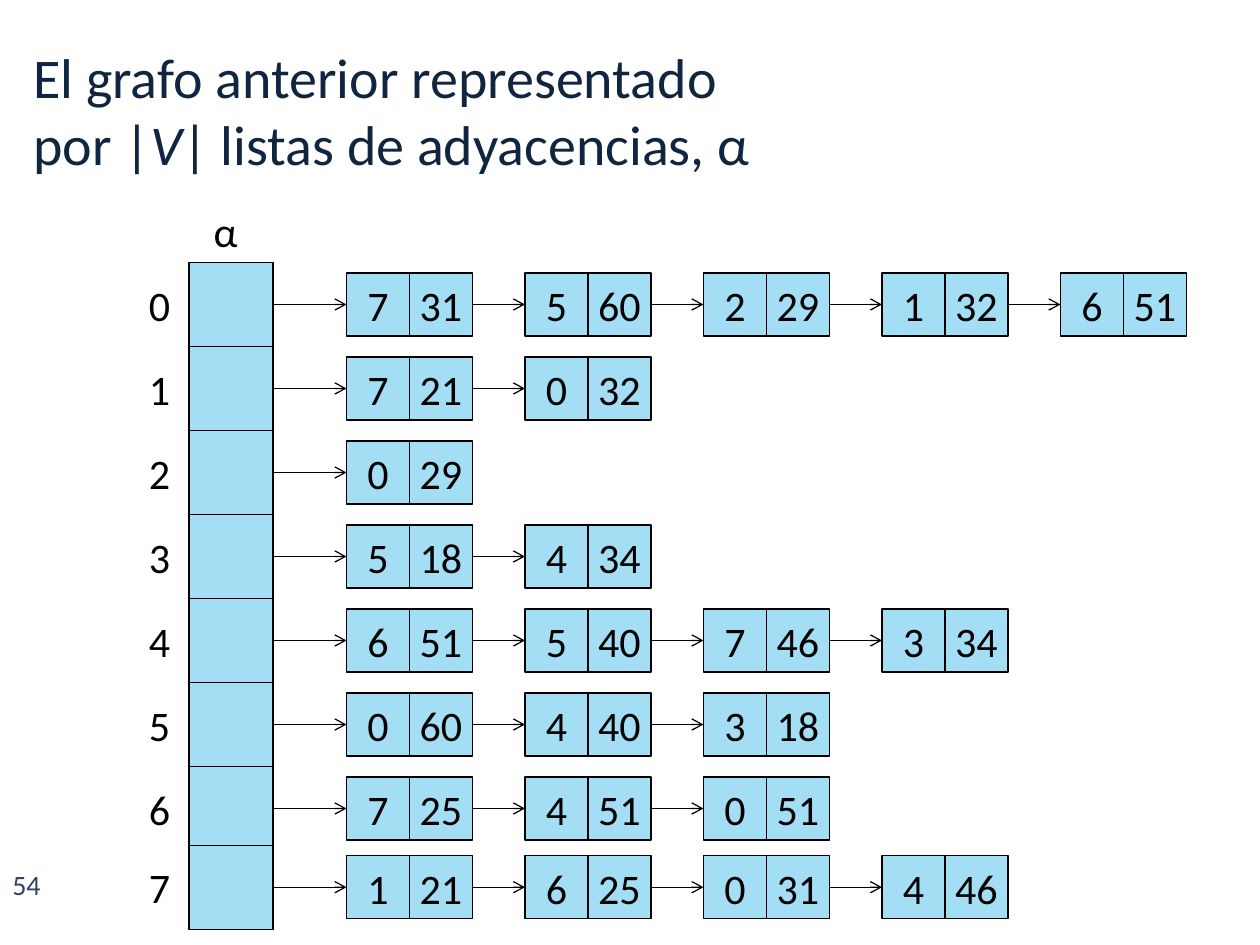
from pptx import Presentation
from pptx.dml.color import RGBColor
from pptx.enum.shapes import MSO_CONNECTOR as Link, MSO_SHAPE as Form
from pptx.enum.text import MSO_ANCHOR as Anchor, MSO_AUTO_SIZE as Fit, PP_ALIGN as Align
from pptx.oxml.ns import qn
from pptx.util import Pt
from lxml.etree import SubElement as Sub

FONT = "Calibri"
BLACK = "000000"
BLUE = "A4DEF4"
NAVY = "10253F"
SLATE = "344068"

LEFT, TOP, SLOT = 108, 150, 48
LAST = 483
START, STEP, CELL = 198, 102, 36
INSET = (SLOT - CELL) / 2

LISTS = [
    [(7, 31), (5, 60), (2, 29), (1, 32), (6, 51)],
    [(7, 21), (0, 32)],
    [(0, 29)],
    [(5, 18), (4, 34)],
    [(6, 51), (5, 40), (7, 46), (3, 34)],
    [(0, 60), (4, 40), (3, 18)],
    [(7, 25), (4, 51), (0, 51)],
    [(1, 21), (6, 25), (0, 31), (4, 46)],
]


def color(code):
    return RGBColor.from_string(code)


def add_run(para, text, size, code, slant=False):
    run = para.add_run()
    run.text = text
    font = run.font
    font.name, font.size, font.italic = FONT, Pt(size), slant
    font.color.rgb = color(code)


def add_text(slide, box, text, size=24, code=BLACK, wrap=False):
    shape = slide.shapes.add_textbox(*map(Pt, box))
    frame = shape.text_frame
    frame.word_wrap = wrap
    frame.auto_size = Fit.NONE if wrap else Fit.SHAPE_TO_FIT_TEXT
    add_run(frame.paragraphs[0], text, size, code)
    return frame


def add_title(slide):
    frame = add_text(slide, (12, 14.4, 696, 96),
                     "El grafo anterior representado", 32, NAVY, True)
    frame.vertical_anchor = Anchor.MIDDLE
    para = frame.paragraphs[0]
    para.add_line_break()
    add_run(para, "por |", 32, NAVY)
    add_run(para, "V", 32, NAVY, True)
    add_run(para, "| listas de adyacencias, α", 32, NAVY)


def add_box(slide, x, y, side, text=None):
    shape = slide.shapes.add_shape(Form.RECTANGLE, *map(Pt, (x, y, side, side)))
    shape.shadow.inherit = False
    shape.fill.solid()
    shape.fill.fore_color.rgb = color(BLUE)
    shape.line.color.rgb = color(BLACK)
    shape.line.width = Pt(0.75)
    if text is not None:
        frame = shape.text_frame
        frame.word_wrap = False
        frame.vertical_anchor = Anchor.MIDDLE
        para = frame.paragraphs[0]
        para.alignment = Align.CENTER
        add_run(para, text, 24, BLACK)


def add_arrow(slide, x, end, y):
    arrow = slide.shapes.add_connector(Link.STRAIGHT, *map(Pt, (x, y, end, y)))
    arrow.line.color.rgb = color(BLACK)
    arrow.line.width = Pt(0.75)
    Sub(arrow.line._get_or_add_ln(), qn("a:tailEnd"), type="arrow")
    Sub(arrow._element.spPr, qn("a:effectLst"))


def add_list(slide, index, nodes):
    top = min(TOP + index * SLOT, LAST)
    add_box(slide, LEFT, top, SLOT)
    add_text(slide, (78, top + INSET, 26.5, 36.5), str(index))
    tail = LEFT + SLOT
    for place, (vertex, weight) in enumerate(nodes):
        x, y = START + place * STEP, top + INSET
        add_arrow(slide, tail, x, y + CELL / 2)
        add_box(slide, x, y, CELL, str(vertex))
        add_box(slide, x + CELL, y, CELL, str(weight))
        tail = x + 2 * CELL


def main():
    deck = Presentation()
    deck.slide_width, deck.slide_height = Pt(720), Pt(540)
    slide = deck.slides.add_slide(deck.slide_layouts[6])
    add_text(slide, (0, 492, 42, 30), "54", 16, SLATE, True)
    add_title(slide)
    add_text(slide, (115, 114, 29, 36.5), "α")
    for index, nodes in enumerate(LISTS):
        add_list(slide, index, nodes)
    deck.save("out.pptx")


if __name__ == "__main__":
    main()
